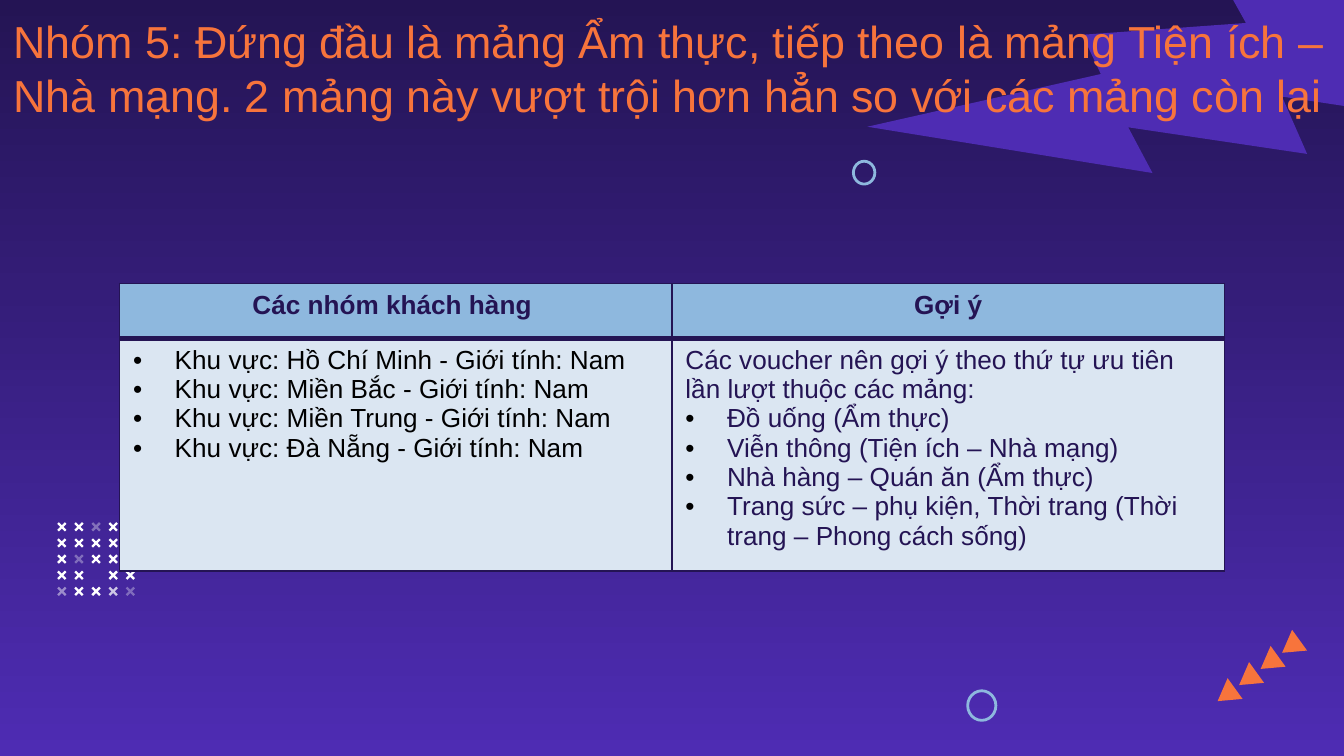
from lxml.etree import SubElement
from pptx import Presentation
from pptx.dml.color import RGBColor
from pptx.enum.shapes import MSO_SHAPE
from pptx.enum.text import MSO_ANCHOR, MSO_AUTO_SIZE, PP_ALIGN
from pptx.oxml.ns import qn
from pptx.util import Inches, Pt

COLORS = {
    "night": "241454",
    "violet": "4E2CB3",
    "orange": "F7743C",
    "sky": "8EB8DE",
    "pale": "DBE6F2",
    "white": "FFFFFF",
    "black": "000000",
}
FONT = "Arial"
TITLE = ("Nhóm 5: Đứng đầu là mảng Ẩm thực, tiếp theo là mảng Tiện ích – Nhà mạng. "
         "2 mảng này vượt trội hơn hẳn so với các mảng còn lại")
HEADERS = ["Các nhóm khách hàng ", "Gợi ý"]
REGIONS = ["Hồ Chí Minh", "Miền Bắc", "Miền Trung", "Đà Nẵng"]
ADVICE_INTRO = "Các voucher nên gợi ý theo thứ tự ưu tiên lần lượt thuộc các mảng:"
ADVICE = [
    "Đồ uống (Ẩm thực)",
    "Viễn thông (Tiện ích – Nhà mạng)",
    "Nhà hàng – Quán ăn (Ẩm thực)",
    "Trang sức – phụ kiện, Thời trang (Thời trang – Phong cách sống)",
]
CROSS_OPACITY = [
    [100, 100, 35, 100, 0],
    [100, 100, 100, 100, 0],
    [100, 33, 100, 100, 0],
    [100, 100, 0, 100, 100],
    [47, 100, 100, 74, 32],
]


def rgb(name):
    """Return the named palette colour."""
    return RGBColor.from_string(COLORS[name])


def add_ornament(slide, kind, box, fill=None, line=None, rotation=0):
    """Add a flat decorative shape in the given box."""
    ornament = slide.shapes.add_shape(kind, *map(Inches, box))
    ornament.shadow.inherit = False
    ornament.rotation = rotation
    if fill:
        ornament.fill.solid()
        ornament.fill.fore_color.rgb = rgb(fill)
    else:
        ornament.fill.background()
    if line:
        ornament.line.color.rgb = rgb(line)
        ornament.line.width = Pt(1.5)
    else:
        ornament.line.fill.background()
    return ornament


def add_run(paragraph, text, size, color, bold=False):
    """Append a formatted run to a paragraph."""
    run = paragraph.add_run()
    run.text = text
    run.font.name = FONT
    run.font.size = Pt(size)
    run.font.bold = bold
    run.font.color.rgb = rgb(color)


def add_bullet(paragraph):
    """Give a paragraph a black bullet and a hanging indent."""
    properties = paragraph._p.get_or_add_pPr()
    properties.set("marL", str(Inches(0.31)))
    properties.set("indent", str(-Inches(0.31)))
    bullet_color = SubElement(properties, qn("a:buClr"))
    SubElement(bullet_color, qn("a:srgbClr"), val=COLORS["black"])
    SubElement(properties, qn("a:buFont"), typeface=FONT)
    SubElement(properties, qn("a:buChar"), char="•")


def style_cell(cell, fill, top=1, bottom=1):
    """Fill a cell and draw its four borders."""
    properties = cell._tc.get_or_add_tcPr()
    for side, width in (("L", 1), ("R", 1), ("T", top), ("B", bottom)):
        border = SubElement(properties, qn(f"a:ln{side}"), w=str(Pt(width)))
        border_fill = SubElement(border, qn("a:solidFill"))
        SubElement(border_fill, qn("a:srgbClr"), val=COLORS["night"])
    cell.fill.solid()
    cell.fill.fore_color.rgb = rgb(fill)


def fill_body(cell, entries, color, intro=None):
    """Write an optional intro and a bulleted list into a cell."""
    lines = [(intro, False)] if intro else []
    lines += [(entry, True) for entry in entries]
    for index, (text, bulleted) in enumerate(lines):
        frame = cell.text_frame
        paragraph = frame.add_paragraph() if index else frame.paragraphs[0]
        if bulleted:
            add_bullet(paragraph)
        add_run(paragraph, text, 14, color)


def paint_background(slide):
    """Apply the vertical gradient."""
    fill = slide.background.fill
    fill.gradient()
    fill.gradient_angle = 270
    for stop, name, position in zip(fill.gradient_stops, ("night", "violet"), (0, 1)):
        stop.color.rgb = rgb(name)
        stop.position = position


def add_bolt(slide, box):
    """Add the mirrored lightning bolt."""
    bolt = add_ornament(slide, MSO_SHAPE.LIGHTNING_BOLT, box, "violet", rotation=39.2)
    bolt._element.spPr.get_or_add_xfrm().set("flipH", "1")


def add_triangle_trail(slide, left, top):
    """Add four triangles descending to the left from the given corner."""
    for step in range(4):
        box = (left - 0.16 * step, top + 0.12 * step, 0.19, 0.16)
        add_ornament(slide, MSO_SHAPE.ISOSCELES_TRIANGLE, box, "orange", rotation=234.2)


def add_cross_grid(slide, left, top):
    """Add the grid of small crosses from the opacity table."""
    for row, opacities in enumerate(CROSS_OPACITY):
        for column, opacity in enumerate(opacities):
            if not opacity:
                continue
            box = (left + 0.51 * column / 4, top + 0.12 * row, 0.08, 0.08)
            cross = add_ornament(slide, MSO_SHAPE.CROSS, box, "white", rotation=315)
            cross.adjustments[0] = 0.39
            if opacity < 100:
                color = cross._element.spPr.find(f".//{qn('a:srgbClr')}")
                SubElement(color, qn("a:alpha"), val=str(opacity * 1000))


def place_title(slide, left, top, width, height):
    """Format the title placeholder and bring it in front of the ornaments."""
    title = slide.shapes.title
    title.left, title.top, title.width, title.height = map(Inches, (left, top, width, height))
    frame = title.text_frame
    frame.word_wrap = True
    frame.auto_size = MSO_AUTO_SIZE.NONE
    frame.vertical_anchor = MSO_ANCHOR.TOP
    frame.margin_left = frame.margin_right = Inches(0.1)
    frame.margin_top = frame.margin_bottom = Inches(0.1)
    heading = frame.paragraphs[0]
    heading.alignment = PP_ALIGN.LEFT
    add_run(heading, TITLE, 24, "orange")
    slide.shapes._spTree.append(title._element)


def add_voucher_table(slide, left, top, width, height):
    """Add the customer groups beside their voucher suggestions."""
    frame = slide.shapes.add_table(2, 2, *map(Inches, (left, top, width, height)))
    table = frame.table
    table.rows[0].height = Inches(0.41)
    table.rows[1].height = Inches(height - 0.41)
    for column, header in enumerate(HEADERS):
        header_cell, body_cell = table.cell(0, column), table.cell(1, column)
        style_cell(header_cell, "sky", bottom=3)
        style_cell(body_cell, "pale", top=3)
        paragraph = header_cell.text_frame.paragraphs[0]
        paragraph.alignment = PP_ALIGN.CENTER
        add_run(paragraph, header, 14, "night", bold=True)
    groups = [f"Khu vực: {region} - Giới tính: Nam" for region in REGIONS]
    fill_body(table.cell(1, 0), groups, "black")
    fill_body(table.cell(1, 1), ADVICE, "night", ADVICE_INTRO)


def main():
    """Build the slide and save it."""
    deck = Presentation()
    deck.slide_width = Inches(10)
    deck.slide_height = deck.slide_width * 9 // 16
    slide = deck.slides.add_slide(deck.slide_layouts[5])
    paint_background(slide)
    add_bolt(slide, (7.16, -1.04, 3.47, 3.47))
    add_triangle_trail(slide, 9.51, 4.73)
    for ring in ((6.35, 1.2, 0.16, 0.17), (7.2, 5.14, 0.21, 0.22)):
        add_ornament(slide, MSO_SHAPE.OVAL, ring, line="sky")
    add_cross_grid(slide, 0.42, 3.88)
    place_title(slide, 0, 0, 10.06, 1.01)
    add_voucher_table(slide, 0.89, 2.11, 8.22, 2.14)
    deck.save("out.pptx")


if __name__ == "__main__":
    main()
